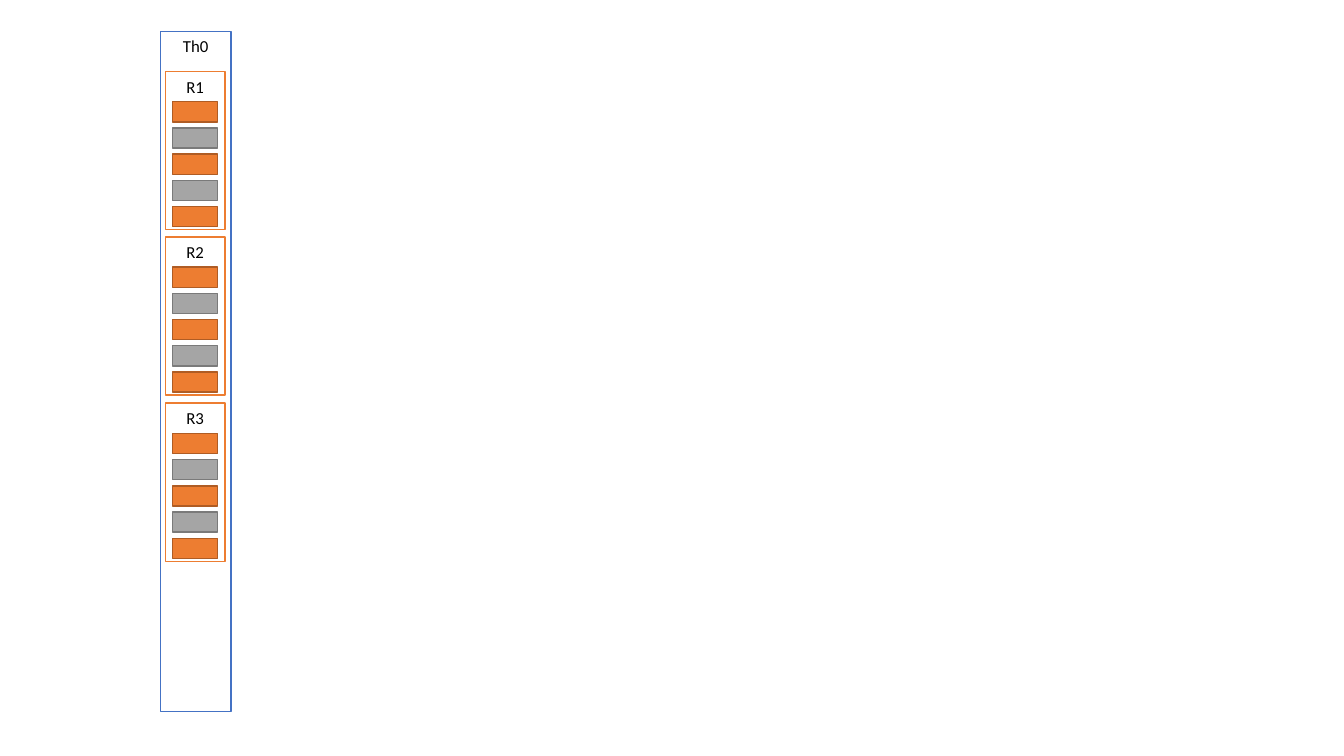
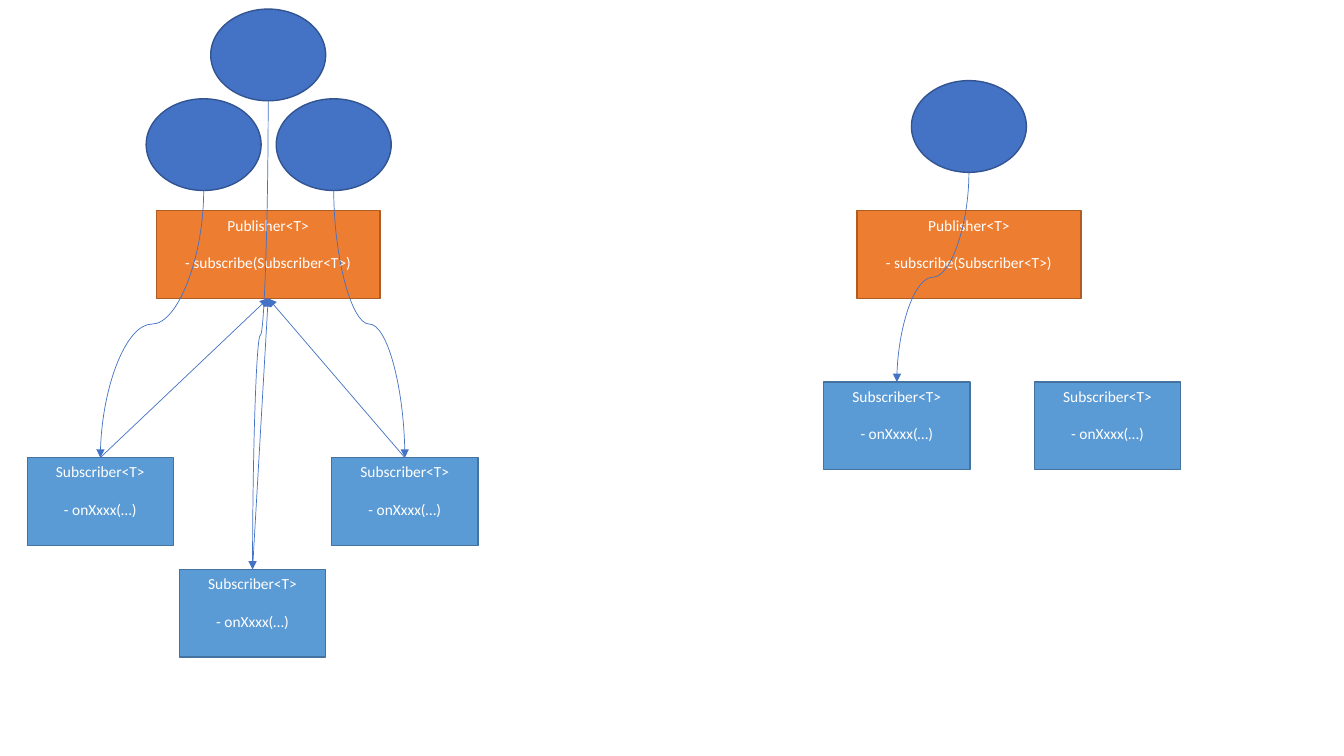
from lxml import etree
from pptx import Presentation
from pptx.dml.color import RGBColor
from pptx.enum.shapes import MSO_CONNECTOR, MSO_SHAPE
from pptx.enum.text import MSO_ANCHOR, PP_ALIGN
from pptx.oxml.ns import qn
from pptx.util import Inches, Pt

RECT, OVAL = MSO_SHAPE.RECTANGLE, MSO_SHAPE.OVAL
STRAIGHT, CURVE = MSO_CONNECTOR.STRAIGHT, MSO_CONNECTOR.CURVE
TOP, CENTER = MSO_ANCHOR.TOP, PP_ALIGN.CENTER
SITE_TOP, SITE_BOTTOM = 0, 2

COLORS = {
    "white": "FFFFFF", "black": "000000",
    "blue": "4472C4", "blue_edge": "325491",
    "orange": "ED7D31", "orange_edge": "AF5C24",
    "gray": "A5A5A5", "gray_edge": "7A7A7A",
    "sky": "5B9BD5", "sky_edge": "43739E",
}
CIRCLE_SIZE = (1.14, 0.91)
PUBLISHER_SIZE = (2.22, 0.87)
SUBSCRIBER_SIZE = (1.45, 0.87)


def rgb(name):
    return RGBColor.from_string(COLORS[name])


def add_box(s, kind, box, fill, edge, lines=(), size=12, color="white"):
    sp = s.shapes.add_shape(kind, *map(Inches, box))
    sp.shadow.inherit = False
    sp.fill.solid()
    sp.fill.fore_color.rgb = rgb(fill)
    sp.line.color.rgb = rgb(edge)
    sp.line.width = Pt(1)
    tf = sp.text_frame
    tf.word_wrap = True
    tf.vertical_anchor = TOP
    for i, text in enumerate(lines):
        p = tf.add_paragraph() if i else tf.paragraphs[0]
        p.alignment = CENTER
        if i:
            p.space_before = Pt(13.4)
        r = p.add_run()
        r.text = text
        r.font.color.rgb = rgb(color)
        for name, value in {"name": "Calibri", "size": Pt(size)}.items():
            setattr(r.font, name, value)
    return sp


def style_arrow(cxn):
    cxn.line.color.rgb = rgb("blue")
    cxn.line.width = Pt(0.5)
    ln = cxn.line._get_or_add_ln()
    etree.SubElement(ln, qn("a:tailEnd"), type="triangle")
    etree.SubElement(cxn._element.spPr, qn("a:effectLst"))


def add_subscription(s, subscriber, publisher):
    cxn = s.shapes.add_connector(STRAIGHT, 0, 0, 0, 0)
    cxn.begin_connect(subscriber, SITE_TOP)
    cxn.end_connect(publisher, SITE_BOTTOM)
    style_arrow(cxn)


def add_event_curve(s, circle, subscriber):
    x1, y1 = circle.left + circle.width // 2, circle.top + circle.height
    x2, y2 = subscriber.left + subscriber.width // 2, subscriber.top
    mid_x, mid_y = (x1 + x2) // 2, (y1 + y2) // 2
    half_w, half_h = (y2 - y1) // 2, abs(x2 - x1) // 2
    leftward = x2 < x1
    side = -half_w if leftward else half_w
    cxn = s.shapes.add_connector(CURVE, mid_x + side, mid_y - half_h,
                                 mid_x - side, mid_y + half_h)
    angle = 90 if leftward else 270
    cxn._element.spPr.find(qn("a:xfrm")).set("rot", str(angle * 60000))
    style_arrow(cxn)


def add_request(s, x, y, label):
    add_box(s, RECT, (x, y, 0.59, 1.57), "white", "orange", [label], color="black")
    for i in range(5):
        tone = "gray" if i % 2 else "orange"
        add_box(s, RECT, (x + 0.07, y + 0.3 + 0.26 * i, 0.45, 0.2), tone, tone + "_edge")


def add_thread(s, x, y):
    add_box(s, RECT, (x, y, 0.7, 6.75), "white", "blue", ["Th0"], color="black")
    for label, offset in (("R1", 0.4), ("R2", 2.04), ("R3", 3.69)):
        add_request(s, x + 0.05, y + offset, label)


def add_publisher(s, x, y, branches, subscribed):
    publisher = add_box(s, RECT, (x, y, *PUBLISHER_SIZE), "orange", "orange_edge",
                        ["Publisher<T>", "- subscribe(Subscriber<T>)"], 11)
    for (sub_x, sub_y), event in branches:
        subscriber = add_box(s, RECT, (x + sub_x, y + sub_y, *SUBSCRIBER_SIZE),
                             "sky", "sky_edge", ["Subscriber<T>", "- onXxxx(…)"], 11)
        if subscribed:
            add_subscription(s, subscriber, publisher)
        if event:
            circle = add_box(s, OVAL, (x + event[0], y + event[1], *CIRCLE_SIZE),
                             "blue", "blue_edge")
            add_event_curve(s, circle, subscriber)


prs = Presentation()
prs.slide_width, prs.slide_height = Inches(13.33), Inches(7.5)
blank = prs.slide_layouts[6]

add_thread(prs.slides.add_slide(blank), 1.59, 0.31)

s = prs.slides.add_slide(blank)
add_publisher(s, 1.55, 2.09, [
    ((-1.28, 2.45), (-0.1, -1.11)),
    ((1.74, 2.45), (1.19, -1.11)),
    ((0.23, 3.56), (0.54, -2)),
], subscribed=True)
add_publisher(s, 8.5, 2.09, [
    ((-0.33, 1.7), (0.54, -1.29)),
    ((1.76, 1.7), None),
], subscribed=False)

prs.save("out.pptx")
